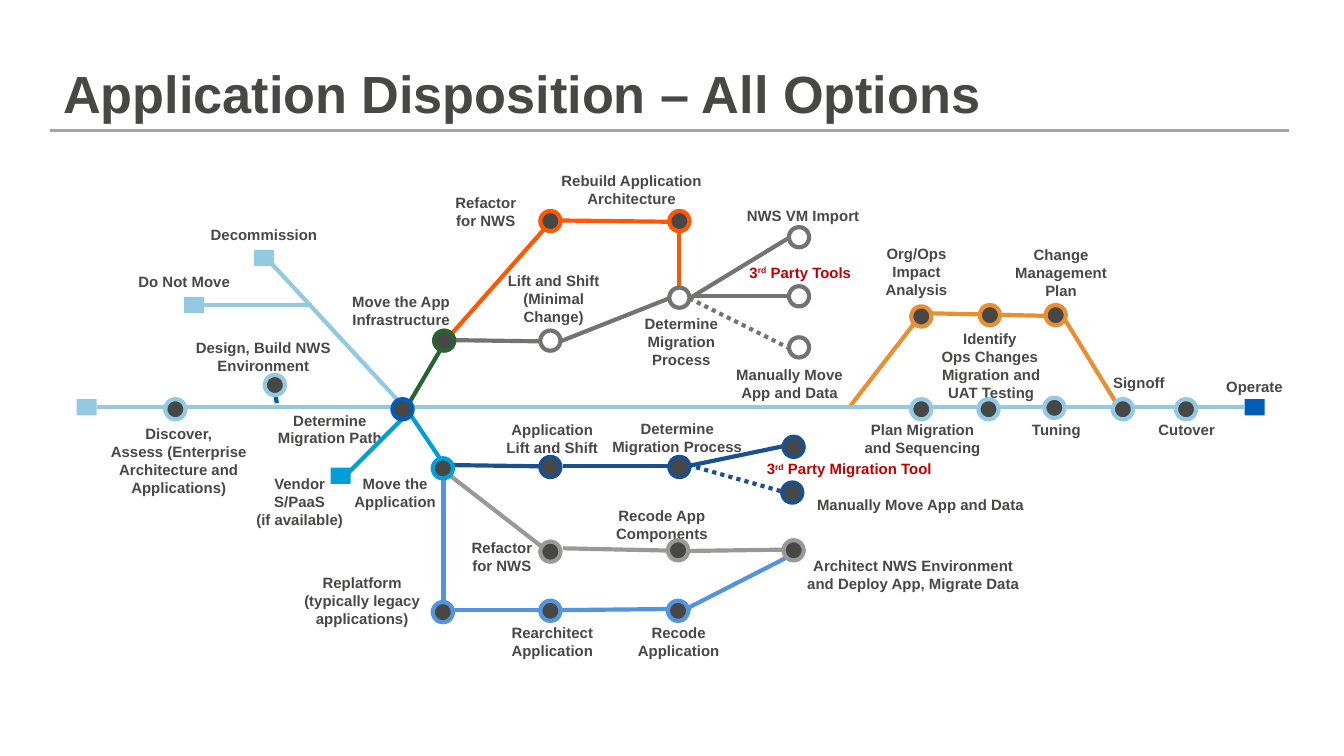
import copy

import pptx
import pptx.dml.color
import pptx.enum.dml
import pptx.enum.shapes
import pptx.enum.text
import pptx.oxml
import pptx.oxml.ns
import pptx.util
from lxml import etree

Inches, Pt = pptx.util.Inches, pptx.util.Pt
SHAPES, ALIGN = pptx.enum.shapes.MSO_SHAPE, pptx.enum.text.PP_ALIGN
SKY, BLUE, CYAN, NAVY, MID = "94C9E2", "005CB9", "009FDA", "1B508D", "5394DE"
GREY, SILVER, ORANGE, AMBER, GREEN = "737472", "999A98", "FF5800", "E98E31", "286332"
DARK, RED, RULE = "474746", "C00000", "A3A3A2"

TITLE = "Application Disposition – All Options"
LABEL_FONT = {"name": "Arial", "size": Pt(8), "bold": True}
TITLE_FONT = {"name": "Arial", "size": Pt(28), "bold": True}

LABELS = [
    (0.82, 3.16, 1.02, "Discover,\nAssess (Enterprise\nArchitecture and\nApplications)"),
    (3.73, 2.02, 0.78, "Lift and Shift\n(Minimal Change)"),
    (6.95, 2.72, 0.85, "Migration and\nUAT Testing"),
    (9.05, 2.81, 0.57, "Operate"),
    (3.42, 4.01, 0.63, "Refactor\nfor NWS"),
    (3.71, 3.13, 0.8, "Application\nLift and Shift"),
    (2.56, 2.18, 0.85, "Move the App\nInfrastructure"),
    (6.4, 3.13, 0.93, "Plan Migration\nand Sequencing"),
    (2.01, 3.06, 0.89, "Determine|Migration Path"),
    (1.53, 1.68, 0.87, "Decommission"),
    (1.03, 2.03, 0.83, "Do Not Move"),
    (1.41, 2.52, 1.1, "Design, Build NWS\nEnvironment"),
    (2.58, 3.53, 0.72, "Move the\nApplication"),
    (4.73, 2.34, 0.68, "Determine\nMigration|Process"),
    (5.08, 2.72, 1.59, "Manually Move\nApp and Data"),
    (5.53, 1.96, 0.85, "3^rd^ Party Tools"),
    (5.4, 1.54, 1.15, "NWS VM Import"),
    (3.3, 1.44, 0.63, "Refactor\nfor NWS"),
    (4.15, 1.28, 1.1, "Rebuild Application\nArchitecture"),
    (1.9, 3.53, 0.66, "Vendor\nS/PaaS\n(if available)"),
    (5.66, 3.42, 1.32, "3^rd^ Party Migration Tool"),
    (5.73, 3.69, 2.24, "Manually Move App and Data"),
    (4.51, 3.12, 1.06, "Determine\nMigration Process"),
    (1.99, 4.27, 1.41, "Replatform\n(typically legacy applications)"),
    (4.52, 3.77, 0.81, "Recode App|Components"),
    (3.74, 4.64, 0.74, "Rearchitect\nApplication"),
    (4.68, 4.64, 0.74, "Recode\nApplication"),
    (5.99, 4.14, 1.61, "Architect NWS Environment\nand Deploy App, Migrate Data"),
    (8.21, 2.78, 0.53, "Signoff"),
    (7.6, 3.13, 0.52, "Tuning"),
    (8.55, 3.13, 0.56, "Cutover"),
    (6.36, 1.82, 0.92, "Org/Ops\nImpact\nAnalysis"),
    (6.97, 2.45, 0.79, "Identify\nOps Changes"),
    (7.29, 1.83, 1.21, "Change\nManagement\nPlan"),
]
TERMINALS = [(1.37, 2.21, SKY), (0.57, 2.97, SKY), (1.89, 1.86, SKY),
             (9.26, 2.97, BLUE), (2.46, 3.48, CYAN)]
TRACKS = [
    (AMBER, [(6.32, 3.03, 6.8, 2.41), (6.87, 2.33, 7.78, 2.35), (7.9, 2.34, 8.3, 2.99)]),
    (ORANGE, [(5.05, 2.14, 5.05, 1.72), (3.32, 2.53, 4.08, 1.67), (4.1, 1.64, 4.98, 1.65)]),
    (GREEN, [(3.05, 2.99, 3.32, 2.53)]),
    (GREY, [(4.17, 2.54, 4.98, 2.22), (3.31, 2.53, 4.02, 2.54),
            (5.13, 2.22, 5.87, 1.77), (5.15, 2.2, 5.87, 2.2)]),
    (SKY, [(2.32, 2.27, 1.37, 2.27), (2.98, 3, 2.02, 1.96), (0.72, 3.03, 9.26, 3.03)]),
    (SILVER, [(3.35, 3.54, 4.15, 4.16), (4.19, 4.08, 5.12, 4.1), (5.12, 4.1, 5.83, 4.09)]),
    (MID, [(3.3, 3.56, 3.3, 4.63), (3.37, 4.54, 4.19, 4.54),
           (4.17, 4.54, 5.14, 4.53), (4.99, 4.59, 5.85, 4.15)]),
    (NAVY, [(3.31, 3.46, 4.02, 3.47), (4.19, 3.47, 4.98, 3.47), (5.11, 3.47, 5.83, 3.32)]),
    (CYAN, [(2.57, 3.54, 3.02, 3.09), (3.32, 3.48, 3.01, 3.02)]),
    (BLUE, [(2.06, 3, 2.05, 2.94)]),
]
DOTTED = [(GREY, (5.13, 2.22, 5.87, 2.59)), (NAVY, (5.12, 3.46, 5.83, 3.66))]
STATIONS = [
    (SKY, [(1.23, 2.97), (1.97, 2.79), (6.78, 2.97), (7.28, 2.97), (7.77, 2.96),
           (8.28, 2.97), (8.75, 2.97)]),
    (BLUE, [(2.92, 2.97)]),
    (GREEN, [(3.23, 2.46)]),
    (ORANGE, [(4.02, 1.57), (4.98, 1.57)]),
    (AMBER, [(6.78, 2.28), (7.29, 2.27), (7.78, 2.27)]),
    (CYAN, [(3.22, 3.41)]),
    (NAVY, [(4.02, 3.4), (4.98, 3.4), (5.83, 3.25), (5.82, 3.59)]),
    (SILVER, [(4.02, 4.03), (4.97, 4.02), (5.83, 4.02)]),
    (MID, [(3.22, 4.48), (4.02, 4.47), (4.97, 4.47)]),
]
OPEN_STATIONS = [(4.02, 2.46), (4.98, 2.14), (5.87, 1.69), (5.87, 2.13), (5.87, 2.51)]
WRAPPED = ("(Minimal Change)", "(typically legacy applications)")
STATION, TERM_W, TERM_H, LINE_H = 0.15, 0.15, 0.12, 0.13


def rgb(value):
    return pptx.dml.color.RGBColor.from_string(value)


def set_font(r, values, color):
    for key, value in values.items():
        setattr(r.font, key, value)
    r.font.color.rgb = rgb(color)


def add_label(s, x, y, w, text):
    rows = 1 + text.count("\n") + text.count("|") + text.endswith(WRAPPED)
    sp = s.shapes.add_textbox(*map(Inches, (x, y, w, LINE_H * rows)))
    tf = sp.text_frame
    fmt = {"margin_left": 0, "margin_right": 0, "margin_top": 0, "margin_bottom": 0,
           "word_wrap": True, "auto_size": pptx.enum.text.MSO_AUTO_SIZE.SHAPE_TO_FIT_TEXT}
    for key, value in fmt.items():
        setattr(tf, key, value)
    for i, block in enumerate(text.split("|")):
        p = tf.add_paragraph() if i else tf.paragraphs[0]
        p.alignment = ALIGN.LEFT if text == "Do Not Move" else ALIGN.CENTER
        for k, line in enumerate(block.split("\n")):
            if k:
                p.add_line_break()
                p._p[-1].append(copy.deepcopy(r._r.rPr))
            for j, part in enumerate(line.split("^")):
                r = p.add_run()
                r.text = part
                set_font(r, LABEL_FONT, RED if "^" in line else DARK)
                if j == 1:
                    r._r.get_or_add_rPr().set("baseline", "30000")


def add_node(s, kind, x, y, w, h, fill=None, line=None):
    sp = s.shapes.add_shape(kind, *map(Inches, (x, y, w, h)))
    sp.shadow.inherit = False
    if fill:
        sp.fill.solid()
        sp.fill.fore_color.rgb = rgb(fill)
    else:
        sp.fill.background()
    if line:
        sp.line.color.rgb = rgb(line)
        sp.line.width = Pt(2.25)
    else:
        sp.line.fill.background()
    return sp


def add_line(s, ends, color, width=2.25, dotted=False, sides=None):
    cx = s.shapes.add_connector(pptx.enum.shapes.MSO_CONNECTOR.STRAIGHT, *map(Inches, ends))
    cx.line.color.rgb = rgb(color)
    cx.line.width = Pt(width)
    if dotted:
        cx.line.dash_style = pptx.enum.dml.MSO_LINE.ROUND_DOT
    etree.SubElement(cx._element.spPr, pptx.oxml.ns.qn("a:effectLst"))
    for join, point in ((cx.begin_connect, ends[:2]), (cx.end_connect, ends[2:])):
        if sides and point in sides:
            join(*sides[point])


def main():
    """Build the migration route map slide."""
    prs = pptx.Presentation()
    prs.slide_width, prs.slide_height = Inches(10), Inches(10 * 9 / 16)
    s = prs.slides.add_slide(prs.slide_layouts[5])
    add_line(s, (0.37, 0.97, 9.59, 0.97), RULE, 1.5)
    sp = s.shapes.title
    sp.left, sp.top, sp.width, sp.height = map(Inches, (0.37, 0.13, 8.97, 0.84))
    tf = sp.text_frame
    tf.text = TITLE
    tf.vertical_anchor = pptx.enum.text.MSO_ANCHOR.BOTTOM
    tf.auto_size = pptx.enum.text.MSO_AUTO_SIZE.NONE
    tf.paragraphs[0].alignment = ALIGN.LEFT
    set_font(tf.paragraphs[0].runs[0], TITLE_FONT, DARK)

    for label in LABELS:
        add_label(s, *label)
    sides = {}
    for x, y, color in TERMINALS:
        sp = add_node(s, SHAPES.RECTANGLE, x, y, TERM_W, TERM_H, color)
        mid = round(y + TERM_H / 2, 2)
        sides[x, mid] = (sp, 1)
        sides[round(x + TERM_W, 2), mid] = (sp, 3)
    for color, track in TRACKS:
        for ends in track:
            add_line(s, ends, color, sides=sides)
    for color, ends in DOTTED:
        add_line(s, ends, color, dotted=True)
    for color, places in STATIONS:
        for x, y in places:
            add_node(s, SHAPES.OVAL, x, y, STATION, STATION, DARK, color)
    for x, y in OPEN_STATIONS:
        add_node(s, SHAPES.OVAL, x, y, STATION, STATION, line=GREY)
    prs.save("out.pptx")


if __name__ == "__main__":
    main()
